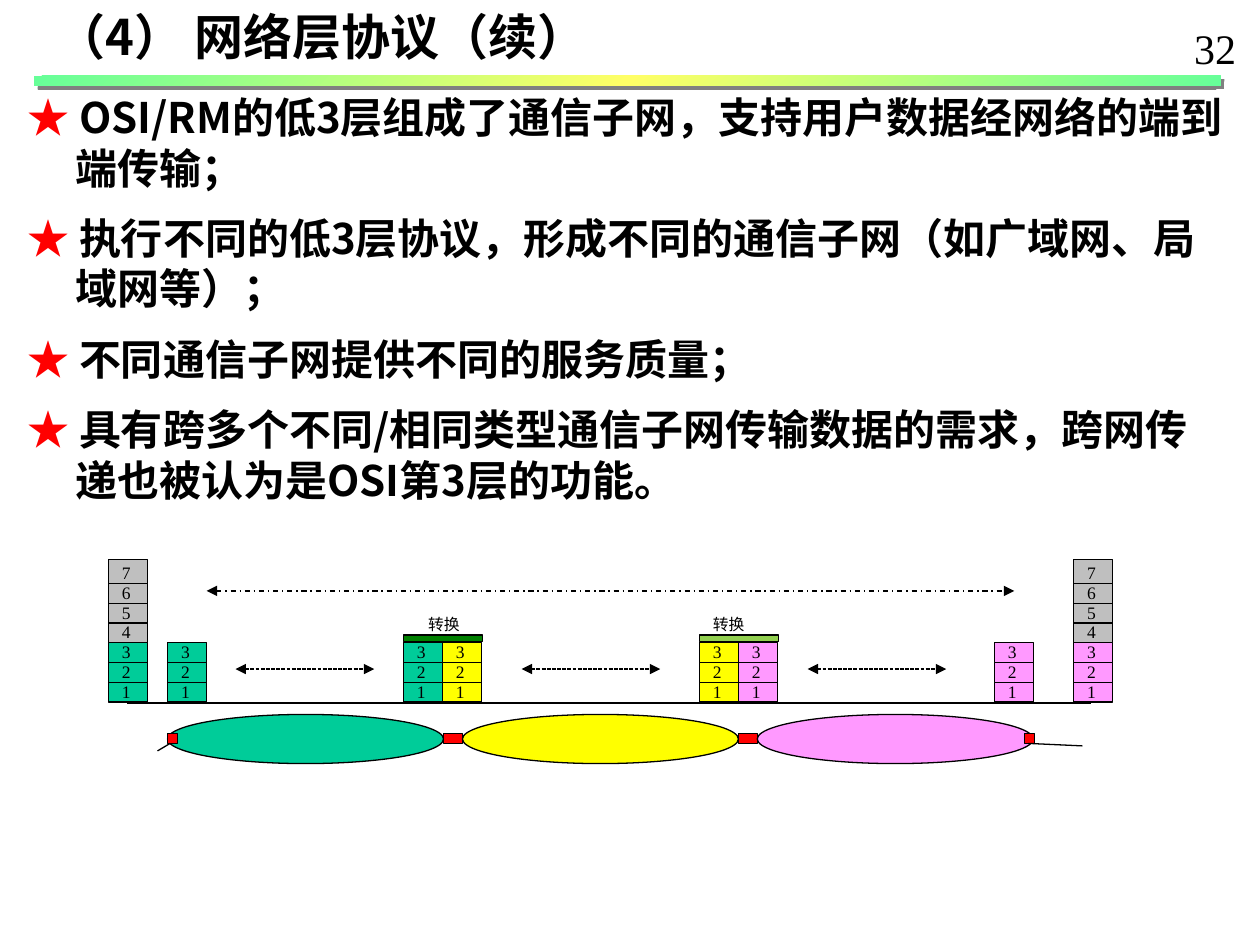
from dataclasses import dataclass

from lxml import etree
from pptx import Presentation
from pptx.dml.color import RGBColor
from pptx.enum.dml import MSO_LINE
from pptx.enum.shapes import MSO_CONNECTOR, MSO_SHAPE
from pptx.enum.text import MSO_ANCHOR, MSO_AUTO_SIZE, PP_ALIGN
from pptx.oxml import parse_xml
from pptx.oxml.ns import nsdecls, qn
from pptx.util import Inches, Pt

RECT, OVAL = MSO_SHAPE.RECTANGLE, MSO_SHAPE.OVAL
STRAIGHT = MSO_CONNECTOR.STRAIGHT
SHORT_DASH, DASH_DOT = MSO_LINE.SQUARE_DOT, MSO_LINE.DASH_DOT
TOP, LEFT, NO_FIT = MSO_ANCHOR.TOP, PP_ALIGN.LEFT, MSO_AUTO_SIZE.NONE


@dataclass(frozen=True)
class Theme:
    black: str = "000000"
    red: str = "FF0000"
    green: str = "00CC99"
    yellow: str = "FFFF00"
    pink: str = "FF99FF"
    gray: str = "BFBFBF"
    dark_green: str = "008000"
    light_green: str = "92D050"
    bar_edge: str = "66FF99"
    bar_middle: str = "FFFF66"
    bar_shadow: str = "808080"
    cjk: str = "Noto Sans CJK SC"
    serif: str = "Times New Roman"
    title: int = 28
    body: int = 24
    layer: int = 10
    note: int = 9
    line: float = 0.75


THEME = Theme()

BULLETS = [
    "OSI/RM的低3层组成了通信子网，支持用户数据经网络的端到端传输；",
    "执行不同的低3层协议，形成不同的通信子网（如广域网、局域网等）；",
    "不同通信子网提供不同的服务质量；",
    "具有跨多个不同/相同类型通信子网传输数据的需求，跨网传递也被认为是OSI第3层的功能。",
]

# Geometry of the protocol stacks
CELL_W, CELL_H, TOP_CELL_H = 0.31, 0.16, 0.19
LAYER_STEP, STACK_BASE = 0.157, 5.57
LABEL_SIZE = 0.27
SUBNET_W, SUBNET_GAP, SUBNET_LEFT = 2.19, 0.15, 1.33
PORT = 0.08


def inches(*values):
    return [Inches(value) for value in values]


def set_all(target, values):
    for name, value in values.items():
        setattr(target, name, value)


def add_span(para, text, size, face, color=THEME.black, bold=False):
    span = para.add_run()
    span.text = text
    set_all(span.font, {"size": Pt(size), "name": face, "bold": bold})
    span.font.color.rgb = RGBColor.from_string(color)
    east_asian = etree.SubElement(span.font._element, qn("a:ea"))
    east_asian.set("typeface", THEME.cjk)


def format_paragraph(para, first=True):
    set_all(para, {"alignment": LEFT, "line_spacing": 1.0,
                   "space_before": Pt(0 if first else 3), "space_after": Pt(8.4)})
    properties = para._p.get_or_add_pPr()
    properties.set("marL", str(Inches(0.38)))
    properties.set("indent", str(Inches(-0.38)))


def format_frame(frame, wrap=True):
    set_all(frame, {"word_wrap": wrap, "auto_size": NO_FIT,
                    "vertical_anchor": TOP})


def add_label(page, at, text, size):
    box = page.shapes.add_textbox(*inches(*at))
    format_frame(box.text_frame, wrap=False)
    add_span(box.text_frame.paragraphs[0], text, size, THEME.serif)


def add_block(page, kind, at, color):
    block = page.shapes.add_shape(kind, *inches(*at))
    block.shadow.inherit = False
    block.fill.solid()
    block.fill.fore_color.rgb = RGBColor.from_string(color)
    block.line.color.rgb = RGBColor.from_string(THEME.black)
    block.line.width = Pt(THEME.line)


def add_line(page, start, end, dash=None):
    """Plain line, or a double-headed arrow when a dash style is given."""
    line = page.shapes.add_connector(STRAIGHT, *inches(*start, *end))
    line.line.color.rgb = RGBColor.from_string(THEME.black)
    line.line.width = Pt(THEME.line)
    properties = line._element.spPr
    if dash:
        line.line.dash_style = dash
        for tag in ("a:headEnd", "a:tailEnd"):
            etree.SubElement(properties.find(qn("a:ln")), qn(tag), type="triangle")
    etree.SubElement(properties, qn("a:effectLst"))


def add_title(page):
    title = page.shapes.title
    set_all(title, dict(zip(("left", "top", "width", "height"),
                            inches(0.35, 0, 5.51, 0.68))))
    format_frame(title.text_frame)
    para = title.text_frame.paragraphs[0]
    format_paragraph(para)
    add_span(para, "（4） 网络层协议（续）", THEME.title, THEME.cjk, bold=True)


def add_bullets(page):
    box = page.shapes.add_textbox(*inches(0.12, 0.68, 9.73, 3.77))
    frame = box.text_frame
    format_frame(frame)
    for index, text in enumerate(BULLETS):
        para = frame.add_paragraph() if index else frame.paragraphs[0]
        format_paragraph(para, first=index == 0)
        add_span(para, "★ ", THEME.body, THEME.cjk, THEME.red, True)
        add_span(para, text, THEME.body, THEME.cjk, bold=True)


def add_title_bar(page):
    bar = page.shapes.add_shape(RECT, *inches(0.27, 0.6, 9.42, 0.08))
    bar.line.fill.background()
    stops = "".join(
        f'<a:gs pos="{position}"><a:srgbClr val="{color}"/></a:gs>'
        for position, color in ((0, THEME.bar_edge), (50000, THEME.bar_middle),
                                (100000, THEME.bar_edge)))
    properties = bar._element.spPr
    properties.insert(2, parse_xml(
        f'<a:gradFill {nsdecls("a")} rotWithShape="1"><a:gsLst>{stops}</a:gsLst>'
        '<a:lin ang="2700000" scaled="1"/></a:gradFill>'))
    properties.append(parse_xml(
        f'<a:effectLst {nsdecls("a")}><a:outerShdw dist="{Pt(2.8)}" dir="2700000">'
        f'<a:srgbClr val="{THEME.bar_shadow}"/></a:outerShdw></a:effectLst>'))


def add_stack(page, left, color, layers=3):
    """Layers count from the bottom; those above 3 are gray."""
    for layer in range(1, layers + 1):
        height = TOP_CELL_H if layer == 7 else CELL_H
        top = STACK_BASE - LAYER_STEP * layer - (height - CELL_H)
        rise = 0.03 if layer == 7 else 0.06
        add_block(page, RECT, (left, top, CELL_W, height),
                  color if layer <= 3 else THEME.gray)
        add_label(page, (left + 0.01, top - rise, LABEL_SIZE, LABEL_SIZE),
                  str(layer), THEME.layer)


def add_subnets(page):
    step = SUBNET_W + SUBNET_GAP
    for index, color in enumerate((THEME.green, THEME.yellow, THEME.pink)):
        left = SUBNET_LEFT + index * step
        add_block(page, OVAL, (left, 5.67, SUBNET_W, 0.39), color)
        if index < 2:
            add_block(page, RECT, (left + SUBNET_W, 5.82, SUBNET_GAP, PORT), THEME.red)
    for left in (SUBNET_LEFT, 8.13):
        add_block(page, RECT, (left, 5.82, PORT, PORT), THEME.red)
    add_line(page, (1.25, 5.96), (1.35, 5.9))
    add_line(page, (8.16, 5.9), (8.59, 5.92))


def add_stacks(page):
    # End systems with seven layers, then their access nodes
    for left, color, layers in ((0.86, THEME.green, 7), (8.52, THEME.pink, 7),
                                (1.33, THEME.green, 3), (7.89, THEME.pink, 3)):
        add_stack(page, left, color, layers)
    # Gateways between neighbouring subnets
    for left, colors, cap, note_left in (
            (3.2, (THEME.green, THEME.yellow), THEME.dark_green, 3.3),
            (5.55, (THEME.yellow, THEME.pink), THEME.light_green, 5.56)):
        add_block(page, RECT, (left, 5.04, 2 * CELL_W + 0.01, 0.05), cap)
        for index, color in enumerate(colors):
            add_stack(page, left + index * CELL_W, color)
        add_label(page, (note_left, 4.83, 0.45, 0.25), "转换", THEME.note)
    add_line(page, (1.01, 5.58), (8.66, 5.58))


def add_arrows(page):
    for index in range(3):
        left = 1.87 + index * 2.27
        add_line(page, (left, 5.31), (left + 1.1, 5.31), SHORT_DASH)
    add_line(page, (1.64, 4.69), (8.05, 4.69), DASH_DOT)


def main():
    deck = Presentation()
    deck.slide_width, deck.slide_height = inches(10, 7.5)
    page = deck.slides.add_slide(deck.slide_layouts[5])
    # Heading and text
    add_bullets(page)
    add_title_bar(page)
    add_label(page, (9.38, 0.13, 0.54, 0.5), "32", THEME.body)
    add_title(page)
    # Network diagram
    add_subnets(page)
    add_stacks(page)
    add_arrows(page)
    deck.save("out.pptx")


if __name__ == "__main__":
    main()
